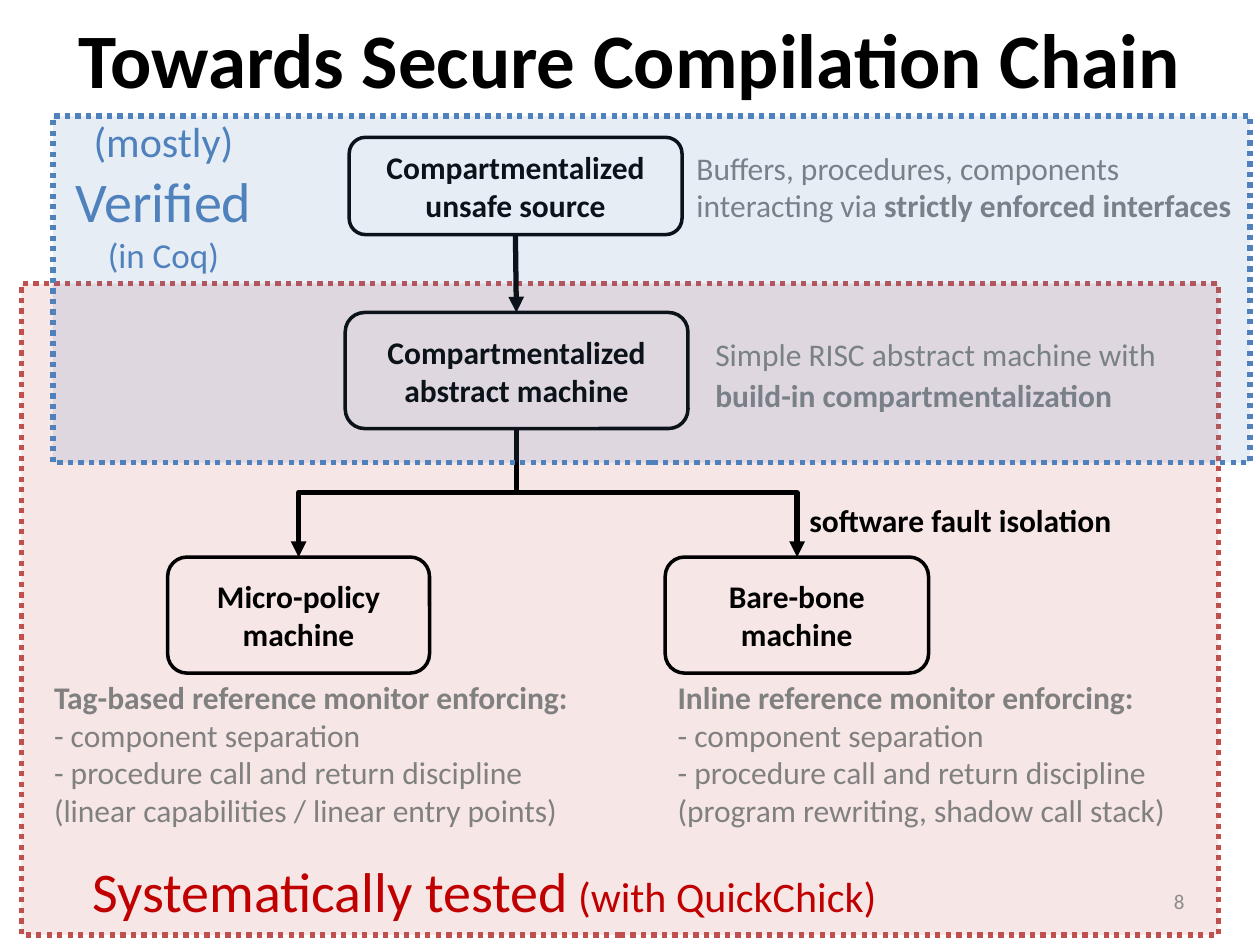
from dataclasses import dataclass

import pptx
import pptx.dml.color
import pptx.enum.dml
import pptx.enum.shapes
import pptx.enum.text
import pptx.oxml.ns
import pptx.util
from lxml import etree
from pptx.util import Cm, Pt

ALIGN = pptx.enum.text.PP_ALIGN
ANCHOR = pptx.enum.text.MSO_ANCHOR
SHAPE = pptx.enum.shapes.MSO_SHAPE
CONNECTOR = pptx.enum.shapes.MSO_CONNECTOR


@dataclass(frozen=True)
class Theme:
    font: str = "Calibri"
    black: str = "000000"
    gray: str = "808080"
    number_gray: str = "8C8C8C"
    blue: str = "4F81BD"
    red: str = "C0504D"
    dark_red: str = "C00000"
    title: int = 44
    headline: int = 32
    remark: int = 24
    small_remark: int = 20
    body: int = 18
    number: int = 12


THEME = Theme()


@dataclass(frozen=True)
class Span:
    text: str
    size: int = THEME.body
    color: str = THEME.gray
    bold: bool = False
    break_after: bool = False


def rgb(color):
    return pptx.dml.color.RGBColor.from_string(color)


def box(left, top, width, height):
    return Cm(left), Cm(top), Cm(width), Cm(height)


def add_drawing_element(parent, tag, **attributes):
    return etree.SubElement(parent, pptx.oxml.ns.qn(tag), attributes)


def write(text_frame, paragraphs, alignment=ALIGN.LEFT, line_spacing=None):
    """Fill a text frame from a list of paragraphs, each a list of spans."""
    for index, spans in enumerate(paragraphs):
        paragraph = text_frame.paragraphs[0] if index == 0 else text_frame.add_paragraph()
        paragraph.alignment = alignment
        if line_spacing:
            paragraph.line_spacing = line_spacing
        for span in spans:
            run = paragraph.add_run()
            run.text = span.text
            run.font.name = THEME.font
            run.font.size = Pt(span.size)
            run.font.bold = span.bold
            run.font.color.rgb = rgb(span.color)
            if span.break_after:
                paragraph.add_line_break()


def add_text(slide, position, paragraphs, alignment=ALIGN.LEFT, wrap=True,
             anchor=ANCHOR.TOP, line_spacing=None):
    text_frame = slide.shapes.add_textbox(*box(*position)).text_frame
    text_frame.word_wrap = wrap
    text_frame.vertical_anchor = anchor
    write(text_frame, paragraphs, alignment, line_spacing)


def add_region(slide, position, color):
    """Add a dotted rectangle with a mostly transparent fill."""
    shape = slide.shapes.add_shape(SHAPE.RECTANGLE, *box(*position))
    shape.shadow.inherit = False
    shape.fill.solid()
    shape.fill.fore_color.rgb = rgb(color)
    fill_color = shape.fill._xPr.find(".//" + pptx.oxml.ns.qn("a:srgbClr"))
    add_drawing_element(fill_color, "a:alpha", val="14000")
    shape.line.color.rgb = rgb(color)
    shape.line.width = Pt(3)
    shape.line.dash_style = pptx.enum.dml.MSO_LINE.ROUND_DOT


def add_machine(slide, position, *lines):
    shape = slide.shapes.add_shape(SHAPE.ROUNDED_RECTANGLE, *box(*position))
    shape.shadow.inherit = False
    shape.fill.background()
    shape.line.color.rgb = rgb(THEME.black)
    shape.line.width = Pt(2)
    shape.text_frame.vertical_anchor = ANCHOR.MIDDLE
    paragraphs = [[Span(line, color=THEME.black, bold=True)] for line in lines]
    write(shape.text_frame, paragraphs, ALIGN.CENTER)


def add_arrow(slide, kind, start, end):
    connector = slide.shapes.add_connector(kind, *box(*start, *end))
    connector.line.color.rgb = rgb(THEME.black)
    connector.line.width = Pt(3)
    add_drawing_element(connector.line._get_or_add_ln(), "a:tailEnd", type="triangle")
    add_drawing_element(connector._element.spPr, "a:effectLst")
    return connector


def add_branch(slide, start, end):
    """Add an elbow arrow that leaves and arrives vertically.

    The elbow is laid out sideways around its centre, then turned a quarter.
    """
    center_x, center_y = (start[0] + end[0]) / 2, (start[1] + end[1]) / 2
    half_width, half_height = (end[1] - start[1]) / 2, abs(end[0] - start[0]) / 2
    to_left = end[0] < start[0]
    if not to_left:
        half_width = -half_width
    connector = add_arrow(slide, CONNECTOR.ELBOW,
                          (center_x - half_width, center_y - half_height),
                          (center_x + half_width, center_y + half_height))
    degrees = 90 if to_left else 270
    connector._element.spPr.find(pptx.oxml.ns.qn("a:xfrm")).set("rot", str(degrees * 60000))


def add_monitor_notes(slide, position, kind, techniques):
    lines = ["- component separation", "- procedure call and return discipline", techniques]
    heading = Span(f"{kind} reference monitor enforcing:", bold=True)
    add_text(slide, position, [[heading]] + [[Span(line)] for line in lines])


def add_title(slide, text):
    title = slide.shapes.title
    title.left, title.top, title.width, title.height = box(1.27, -0.43, 22.86, 3.18)
    title.text_frame.vertical_anchor = ANCHOR.MIDDLE
    write(title.text_frame, [[Span(text, THEME.title, THEME.black, True)]], ALIGN.CENTER)


def main():
    presentation = pptx.Presentation()
    presentation.slide_width, presentation.slide_height = Cm(25.4), Cm(19.05)
    slide = presentation.slides.add_slide(presentation.slide_layouts[5])

    add_region(slide, (0.43, 5.72, 24.13, 13.13), THEME.red)
    add_title(slide, "Towards Secure Compilation Chain")

    add_machine(slide, (7.04, 2.77, 6.71, 1.96), "Compartmentalized unsafe source")
    add_machine(slide, (6.96, 6.3, 6.91, 2.34), "Compartmentalized abstract machine")
    add_machine(slide, (3.38, 11.23, 5.28, 2.34), "Micro-policy machine")
    add_machine(slide, (13.41, 11.23, 5.31, 2.34), "Bare-bone", "machine")

    add_arrow(slide, CONNECTOR.STRAIGHT, (10.39, 4.73), (10.41, 6.3))
    for target_x in (6.02, 16.07):
        add_branch(slide, (10.41, 8.64), (target_x, 11.23))

    add_text(slide, (13.79, 2.87, 11.4, 1.8),
             [[Span("Buffers, procedures, components")],
              [Span("interacting via "), Span("strictly enforced interfaces", bold=True)]],
             wrap=False)
    add_text(slide, (14.17, 6.55, 9.5, 1.96),
             [[Span("Simple RISC abstract machine with")],
              [Span("build-in compartmentalization", bold=True)]],
             wrap=False, line_spacing=1.1)
    add_text(slide, (15.98, 9.98, 6.68, 1.02),
             [[Span("software fault isolation", color=THEME.black, bold=True)]],
             ALIGN.RIGHT, wrap=False)
    add_monitor_notes(slide, (13.41, 13.54, 10.72, 3.33), "Inline",
                      "(program rewriting, shadow call stack)")
    add_monitor_notes(slide, (0.84, 13.54, 11, 3.33), "Tag-based",
                      "(linear capabilities / linear entry points)")

    add_region(slide, (1.07, 2.34, 24.13, 6.99), THEME.blue)
    add_text(slide, (1.07, 2.21, 4.45, 3.51),
             [[Span("(mostly)", THEME.remark, THEME.blue, break_after=True),
               Span("Verified", THEME.headline, THEME.blue)],
              [Span("(in Coq)", THEME.small_remark, THEME.blue)]],
             ALIGN.CENTER)
    add_text(slide, (1.47, 17.15, 16.59, 1.63),
             [[Span("Systematically tested", THEME.headline, THEME.dark_red),
               Span(" (with QuickChick)", THEME.remark, THEME.dark_red)]],
             ALIGN.CENTER)
    add_text(slide, (18.21, 17.65, 5.92, 1.02),
             [[Span("8", THEME.number, THEME.number_gray)]],
             ALIGN.RIGHT, anchor=ANCHOR.MIDDLE)

    presentation.save("out.pptx")


if __name__ == "__main__":
    main()
